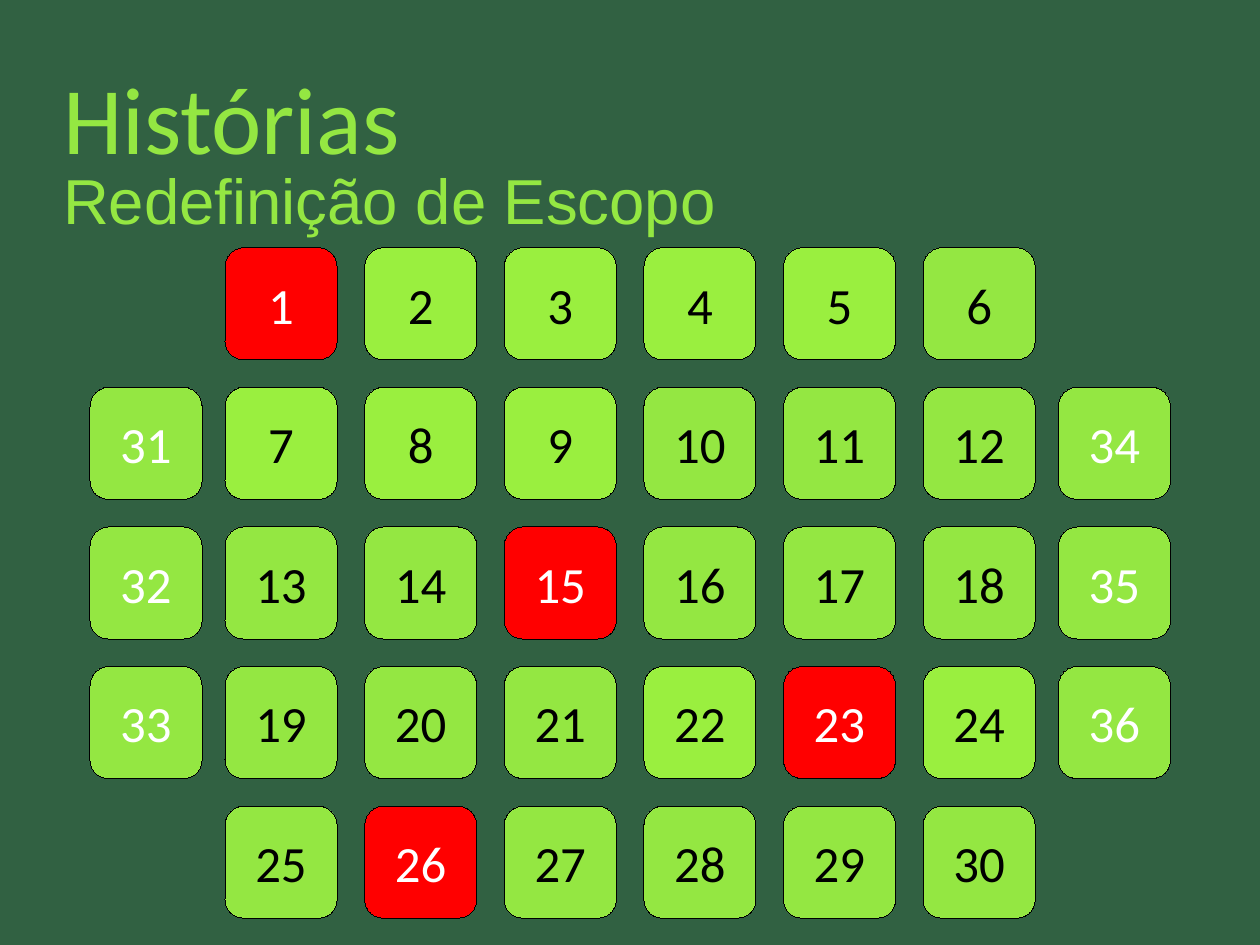
from pptx import Presentation
from pptx.dml.color import RGBColor
from pptx.enum.shapes import MSO_SHAPE
from pptx.enum.text import MSO_ANCHOR, PP_ALIGN
from pptx.util import Pt

BACKGROUND = RGBColor(0x31, 0x61, 0x42)
GREEN = RGBColor(0x94, 0xE7, 0x42)
BRIGHT_GREEN = RGBColor(0x9A, 0xEF, 0x3F)
RED = RGBColor(0xFF, 0x00, 0x00)
BLACK = RGBColor(0x00, 0x00, 0x00)
WHITE = RGBColor(0xFF, 0xFF, 0xFF)

presentation = Presentation()
presentation.slide_width = Pt(793.7)
presentation.slide_height = Pt(595.28)
slide = presentation.slides.add_slide(presentation.slide_layouts[6])
slide.background.fill.solid()
slide.background.fill.fore_color.rgb = BACKGROUND


def write(frame, text, size, font_name, color):
    frame.word_wrap = True
    frame.vertical_anchor = MSO_ANCHOR.MIDDLE
    paragraph = frame.paragraphs[0]
    run = paragraph.add_run()
    run.text = text
    run.font.color.rgb = color
    for attribute, value in {"size": Pt(size), "name": font_name}.items():
        setattr(run.font, attribute, value)
    return paragraph


# Title and subtitle
for text, top, height, size, font_name in [
    ("Histórias", 23.8, 99.4, 60, "Calibri"),
    ("Redefinição de Escopo", 87.8, 74.9, 40, "Arial"),
]:
    heading = slide.shapes.add_textbox(Pt(39.7), Pt(top), Pt(714.2), Pt(height))
    for margin in ("left", "top", "right", "bottom"):
        setattr(heading.text_frame, f"margin_{margin}", 0)
    write(heading.text_frame, text, size, font_name, GREEN)

# Story positions: a grid of five rows by six, then a column on each side
CARD_SIZE = 70.6
GRID_LEFT, GRID_TOP, PITCH = 141.75, 156, 87.95
COLUMNS, ROWS = 6, 5
SIDE_LEFTS = {31: 56.7, 34: 666.7}

stories = {}
for row in range(ROWS):
    for column in range(COLUMNS):
        stories[row * COLUMNS + column + 1] = (GRID_LEFT + column * PITCH, row)
for first, left in SIDE_LEFTS.items():
    for step in range(3):
        stories[first + step] = (left, step + 1)

# Story cards with hairline borders
HAIRLINE = Pt(0.01)
removed = {1, 15, 23, 26}
highlighted = {2, 3, 4, 5, 7, 8, 9, 22, 24}
added = set(range(31, 37))

for number, (left, row) in stories.items():
    card = slide.shapes.add_shape(
        MSO_SHAPE.ROUNDED_RECTANGLE,
        Pt(left), Pt(GRID_TOP + row * PITCH), Pt(CARD_SIZE), Pt(CARD_SIZE),
    )
    card.adjustments[0] = 0.167
    card.shadow.inherit = False
    card.fill.solid()
    if number in removed:
        card.fill.fore_color.rgb = RED
    elif number in highlighted:
        card.fill.fore_color.rgb = BRIGHT_GREEN
    else:
        card.fill.fore_color.rgb = GREEN
    card.line.color.rgb = BLACK
    card.line.width = HAIRLINE
    number_color = WHITE if number in removed | added else BLACK
    label = write(card.text_frame, str(number), 32, "Calibri", number_color)
    label.alignment = PP_ALIGN.CENTER

presentation.save("out.pptx")
